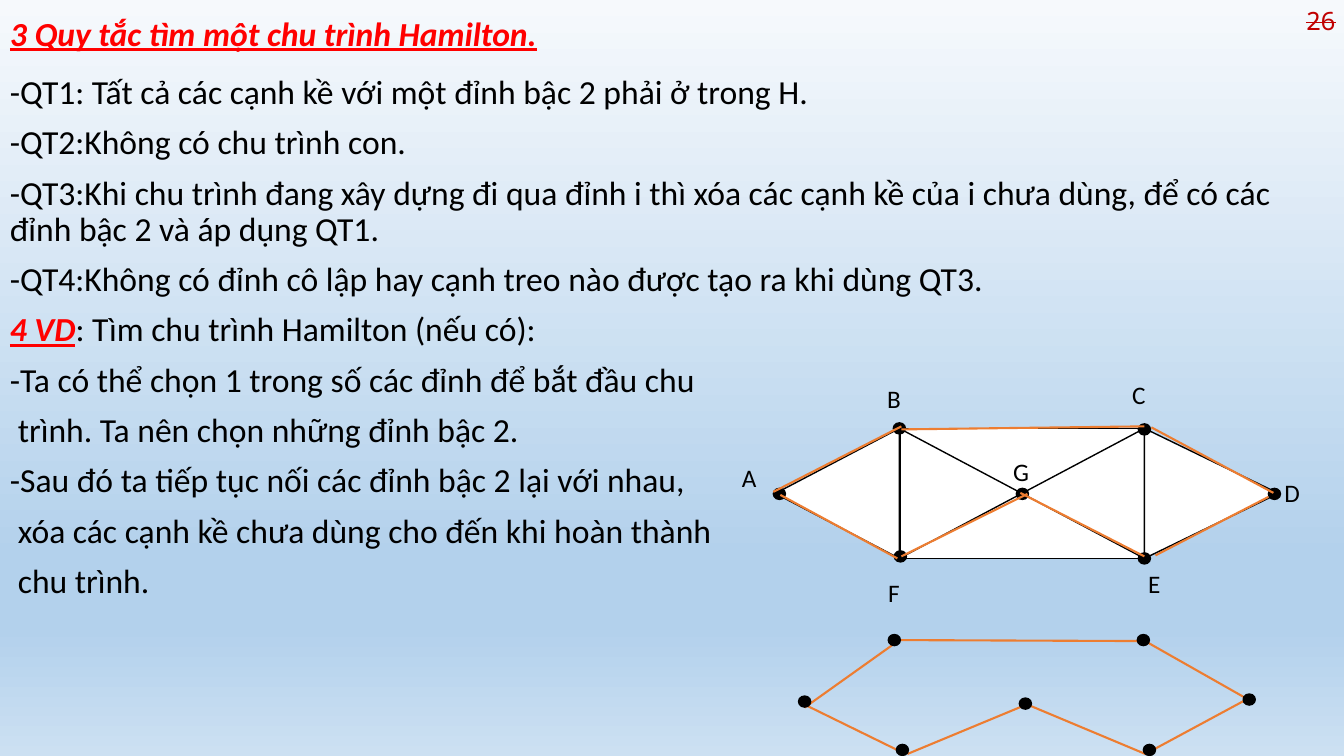
from lxml.etree import SubElement
from pptx import Presentation
from pptx.dml.color import RGBColor
from pptx.enum.shapes import MSO_CONNECTOR, MSO_SHAPE
from pptx.enum.text import MSO_ANCHOR, PP_ALIGN
from pptx.oxml.ns import qn
from pptx.util import Inches, Pt

COLS, ROWS = 13.33, 7.5
WIDTH, HEIGHT = Inches(COLS), Inches(ROWS)
BLACK, WHITE, RED, ORANGE = "000000", "FFFFFF", "FF0000", "ED7D31"
DOT_W, DOT_H = 0.12, 0.11

PLAIN = {"name": "Calibri", "size": Pt(24)}
HEADING = {**PLAIN, "bold": True, "italic": True, "underline": True}
LABEL = {"name": "Calibri", "size": Pt(18)}
NUMBER = {"name": "Noto Sans Mono", "size": Pt(18)}

BACKGROUND = [(0, "F6F9FC"), (74, "B3D1EC"), (83, "B3D1EC"), (100, "CCE0F2")]
TITLE = "3 Quy tắc tìm một chu trình Hamilton."
RULES = [
    "-QT1: Tất cả các cạnh kề với một đỉnh bậc 2 phải ở trong H.",
    "-QT2:Không có chu trình con.",
    "-QT3:Khi chu trình đang xây dựng đi qua đỉnh i thì xóa các cạnh kề của i chưa dùng, "
    "để có các đỉnh bậc 2 và áp dụng QT1.",
    "-QT4:Không có đỉnh cô lập hay cạnh treo nào được tạo ra khi dùng QT3.",
]
EXAMPLE = ("4 VD", ": Tìm chu trình Hamilton (nếu có):")
STEPS = [
    ("-Ta có thể chọn 1 trong số các đỉnh để bắt đầu chu", 0),
    ("trình. Ta nên chọn những đỉnh bậc 2.", 0.08),
    ("-Sau đó ta tiếp tục nối các đỉnh bậc 2 lại với nhau,", 0),
    ("xóa các cạnh kề chưa dùng cho đến khi hoàn thành", 0.08),
    ("chu trình.", 0.08),
]

GRAPH_DOTS = [(7.73, 4.9), (8.92, 4.25), (8.93, 5.52), (12.64, 4.9),
              (11.35, 4.26), (11.35, 5.54), (10.14, 4.9)]
GRAPH_LABELS = {"A": (7.26, 4.54), "B": (8.7, 3.75), "C": (11.13, 3.71), "D": (12.64, 4.69),
                "E": (11.29, 5.59), "F": (8.71, 5.68), "G": (9.95, 4.48)}
DIAGONALS = [(8.92, 4.25, 11.35, 5.54), (11.35, 4.25, 8.92, 5.54)]
GRAPH_CYCLE = [
    (7.67, 4.88, 8.94, 4.23), (8.94, 4.26, 11.35, 4.23), (10.12, 4.89, 11.35, 5.52),
    (10.19, 4.9, 8.94, 5.52), (12.63, 4.89, 11.42, 4.24), (12.58, 4.93, 11.46, 5.51),
    (8.9, 5.54, 7.74, 4.91),
]
RESULT_CYCLE = [
    (8.92, 6.35, 11.36, 6.36), (8.92, 6.35, 7.98, 7.02), (11.34, 6.35, 12.38, 6.94),
    (12.38, 6.93, 11.36, 7.48), (11.36, 7.48, 10.19, 6.99), (7.98, 6.99, 8.98, 7.48),
    (9, 7.48, 10.18, 6.99),
]
RESULT_DOTS = [(7.98, 6.96), (8.87, 6.35), (11.4, 7.44), (10.17, 6.98),
               (8.95, 7.44), (12.39, 6.94), (11.34, 6.35)]


def color(value):
    """Turn a hex string into a colour."""
    return RGBColor.from_string(value)


def grid(*cells):
    """Turn alternating columns and rows into slide lengths."""
    return [int(n * (HEIGHT / ROWS if i % 2 else WIDTH / COLS)) for i, n in enumerate(cells)]


def add_background(s):
    """Fill the slide with a vertical gradient."""
    fill = s.background.fill
    fill.gradient()
    fill.gradient_angle = 270
    stops = next(s.element.iter(qn("a:gsLst")))
    for stop in list(stops):
        stops.remove(stop)
    for share, value in BACKGROUND:
        stop = SubElement(stops, qn("a:gs"), pos=str(share * 1000))
        SubElement(stop, qn("a:srgbClr"), val=value)


def add_box(s, cells, anchor=MSO_ANCHOR.TOP, wrap=True):
    """Add an empty text box and return its text frame."""
    tf = s.shapes.add_textbox(*grid(*cells)).text_frame
    tf.word_wrap, tf.vertical_anchor = wrap, anchor
    return tf


def add_run(p, text, formats, value=BLACK):
    """Add a formatted run to a paragraph."""
    r = p.add_run()
    r.text = text
    for name, setting in formats.items():
        setattr(r.font, name, setting)
    r.font.color.rgb = color(value)
    return r


def add_paragraph(tf, runs, indent=0):
    """Add a paragraph of body text, spaced from the one before it."""
    first = not tf.paragraphs[0].runs
    p = tf.paragraphs[0] if first else tf.add_paragraph()
    p.line_spacing = 0.9
    p.space_before = Pt(0 if first else 10)
    if indent:
        p._p.get_or_add_pPr().set("marL", str(grid(indent)[0]))
    for run in runs:
        add_run(p, *run)


def add_outline(s, kind, cells, fill=WHITE, rotation=0):
    """Add a preset shape with a thin black line."""
    sp = s.shapes.add_shape(kind, *grid(*cells))
    sp.shadow.inherit = False
    sp.rotation = rotation
    sp.fill.solid()
    sp.fill.fore_color.rgb = color(fill)
    sp.line.color.rgb = color(BLACK)
    sp.line.width = Pt(1)


def add_dots(s, centers):
    """Add a black vertex at each centre."""
    for x, y in centers:
        cells = (x - DOT_W / 2, y - DOT_H / 2, DOT_W, DOT_H)
        add_outline(s, MSO_SHAPE.FLOWCHART_CONNECTOR, cells, BLACK)


def add_edges(s, edges, value, width):
    """Add a straight line for each edge."""
    for edge in edges:
        line = s.shapes.add_connector(MSO_CONNECTOR.STRAIGHT, *grid(*edge))
        line.line.color.rgb = color(value)
        line.line.width = Pt(width)
        SubElement(line._element.spPr, qn("a:effectLst"))


def add_number(s, digit, cells, align):
    """Add one struck-through digit of the slide number."""
    p = add_box(s, cells, wrap=False).paragraphs[0]
    p.alignment = align
    r = add_run(p, digit, NUMBER, "C00000")
    r._r.get_or_add_rPr().set("strike", "sngStrike")


def add_text(s):
    """Add the title and the body text."""
    add_paragraph(add_box(s, (0, 0, 12.42, 0.7), MSO_ANCHOR.MIDDLE), [(TITLE, HEADING, RED)])
    tf = add_box(s, (0, 0.7, COLS, 6.8))
    for rule in RULES:
        add_paragraph(tf, [(rule, PLAIN)])
    add_paragraph(tf, [(EXAMPLE[0], HEADING, RED), (EXAMPLE[1], PLAIN)])
    for step, indent in STEPS:
        add_paragraph(tf, [(step, PLAIN)], indent)


def add_graph(s):
    """Add the labelled graph with its cycle marked."""
    add_outline(s, MSO_SHAPE.RECTANGLE, (8.93, 4.25, 2.42, 1.29))
    add_outline(s, MSO_SHAPE.ISOSCELES_TRIANGLE, (7.66, 4.28, 1.29, 1.23), rotation=270)
    add_outline(s, MSO_SHAPE.ISOSCELES_TRIANGLE, (11.37, 4.23, 1.29, 1.33), rotation=90)
    add_edges(s, DIAGONALS, BLACK, 1)
    add_dots(s, GRAPH_DOTS)
    for name, corner in GRAPH_LABELS.items():
        add_run(add_box(s, (*corner, 0.43, 0.4)).paragraphs[0], name, LABEL)
    add_edges(s, GRAPH_CYCLE, ORANGE, 1.5)


def main():
    """Build the slide and save it."""
    prs = Presentation()
    prs.slide_width, prs.slide_height = WIDTH, HEIGHT
    s = prs.slides.add_slide(prs.slide_layouts[6])
    add_background(s)
    add_text(s)
    add_graph(s)
    add_edges(s, RESULT_CYCLE, ORANGE, 1.5)
    add_dots(s, RESULT_DOTS)
    add_number(s, "2", (12.69, 0, 0.51, 0.4), PP_ALIGN.RIGHT)
    add_number(s, "6", (13, 0, 0.33, 0.4), PP_ALIGN.LEFT)
    prs.save("out.pptx")


if __name__ == "__main__":
    main()
